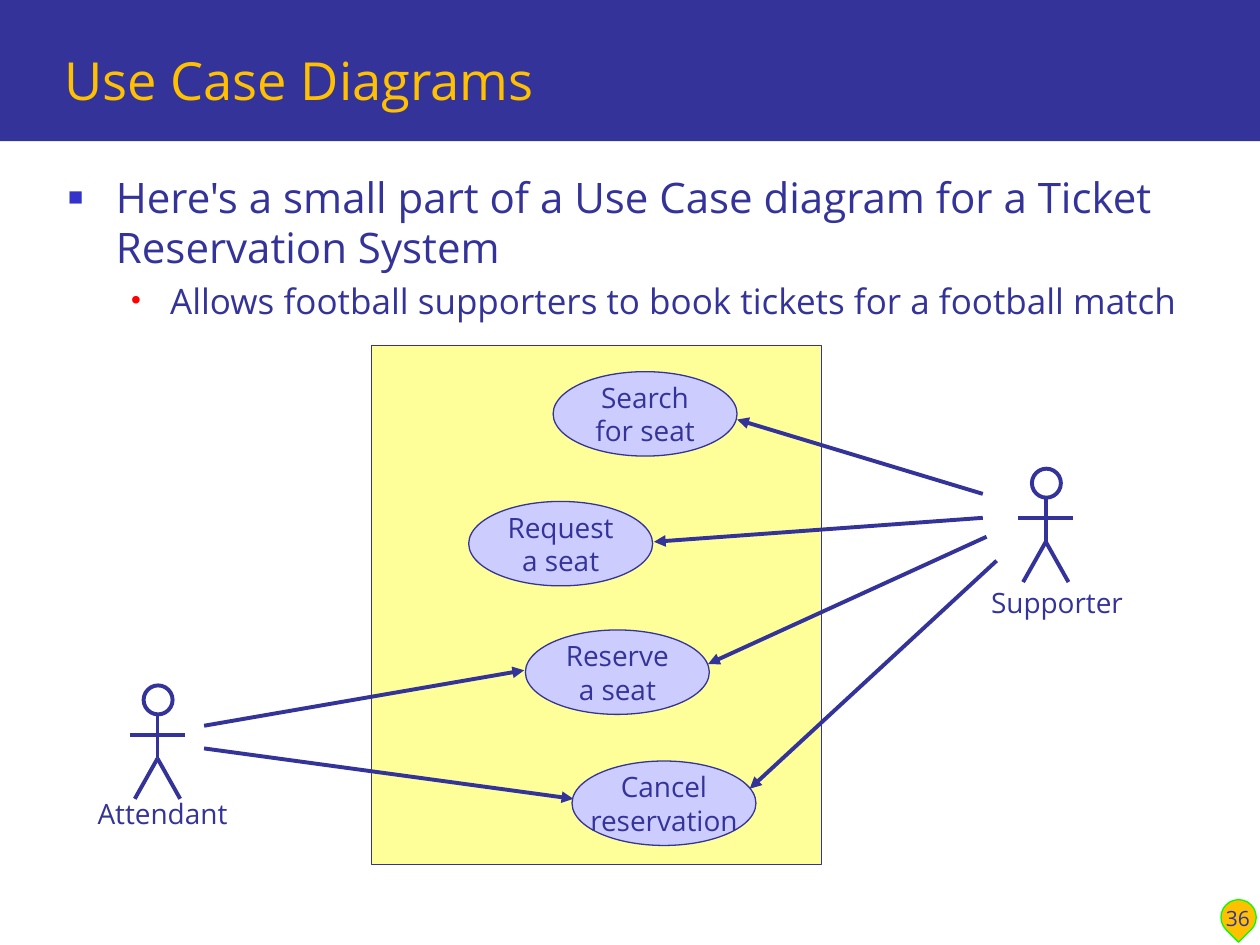
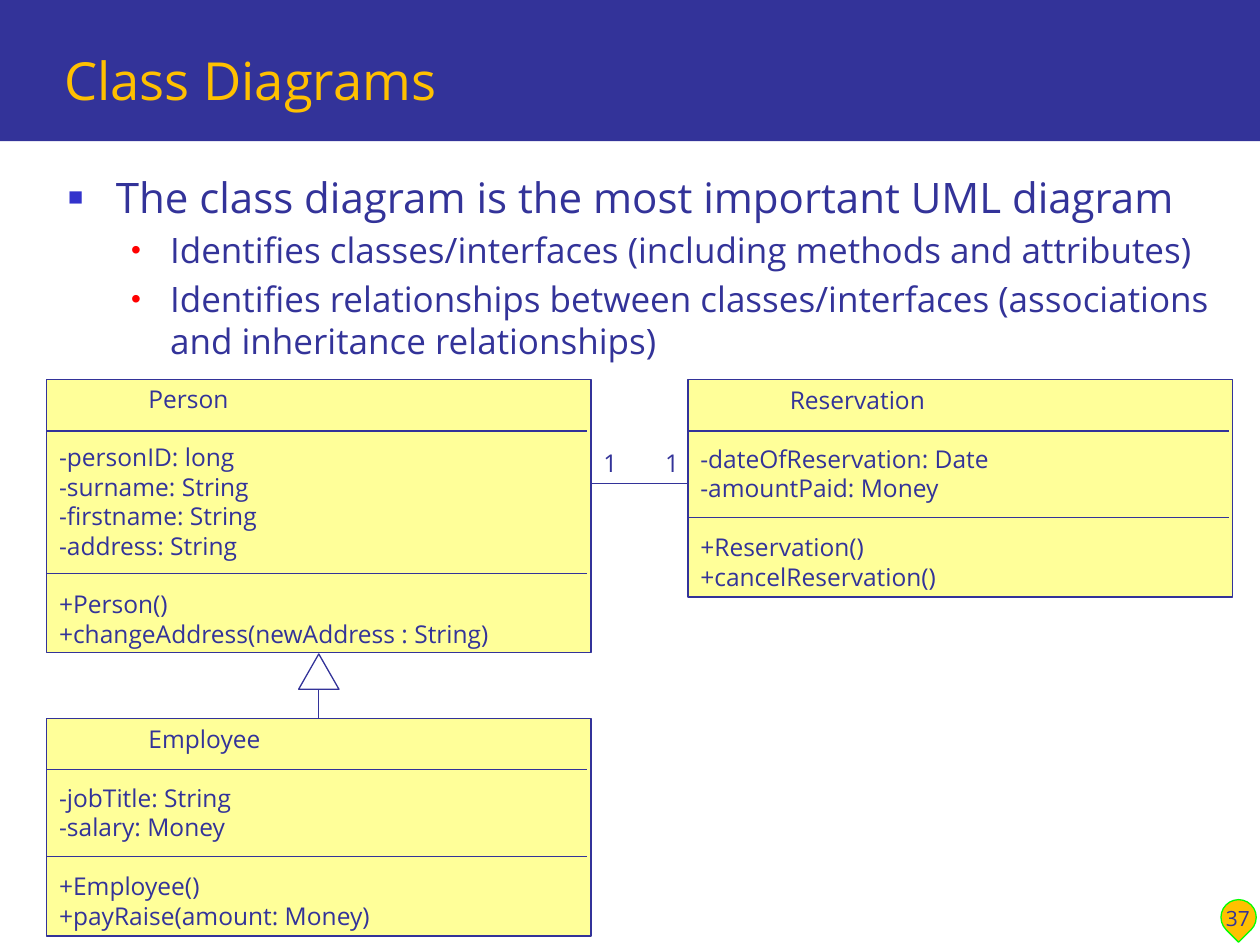
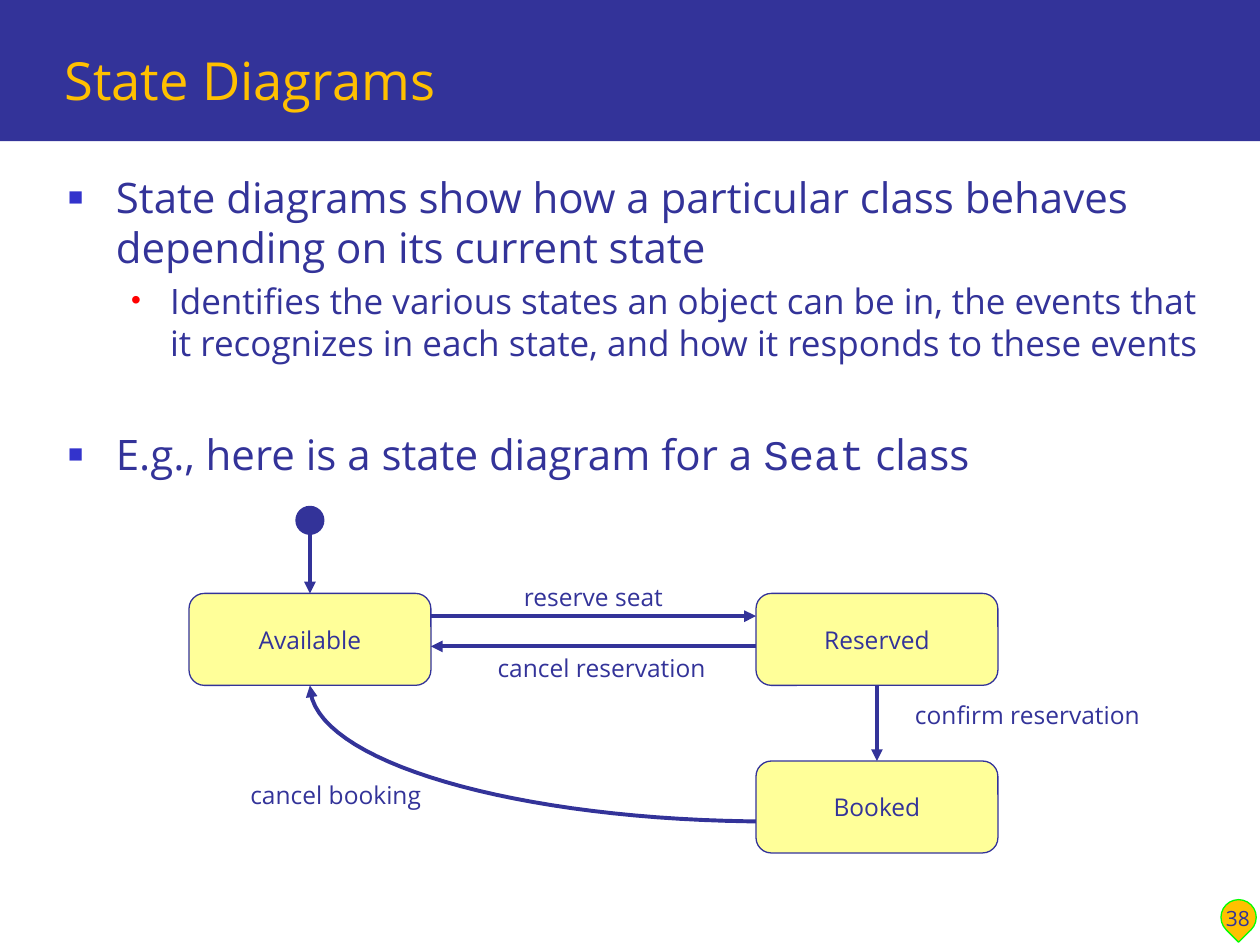
"""Build three slides on UML use case, class and state diagrams."""
import lxml.etree
import pptx
import pptx.dml.color
import pptx.enum.shapes
import pptx.enum.text
import pptx.oxml.ns
import pptx.util

Inches = pptx.util.Inches
Pt = pptx.util.Pt
SHAPE = pptx.enum.shapes.MSO_SHAPE
ALIGN = pptx.enum.text.PP_ALIGN
ANCHOR = pptx.enum.text.MSO_ANCHOR

COLORS = {"navy": "333399", "gold": "FFC000", "green": "00FF00", "blue": "3333CC",
          "red": "FF0000", "yellow": "FFFF99", "lilac": "CCCCFF", "white": "FFFFFF"}
FONT = "Open Sans"
CODE_FONT = "Courier New"
LINE_HEIGHT = 1.2
THIN, THICK = 0.75, 2.25
FIRST_NUMBER = 36

LEVELS = [
    {"size": 24, "margin": 0.38, "indent": -0.38, "before": 9.6,
     "bullet": "■", "color": "blue", "percent": 60},
    {"size": 20, "margin": 0.81, "indent": -0.31, "before": 4,
     "bullet": "•", "color": "red", "percent": 80},
]
SECTION_GAP = 37.6

USE_CASE_BULLETS = [
    (0, ["Here's a small part of a Use Case diagram for a Ticket Reservation System"]),
    (1, ["Allows football supporters to book tickets for a football match"]),
]
CLASS_BULLETS = [
    (0, ["The class diagram is the most important UML diagram"]),
    (1, ["Identifies classes/interfaces (including methods and attributes)"]),
    (1, ["Identifies relationships between classes/interfaces "
         "(associations and inheritance relationships)"]),
]
STATE_BULLETS = [
    (0, ["State diagrams show how a particular class behaves depending on its current state"]),
    (1, ["Identifies the various states an object can be in, the events that it recognizes "
         "in each state, and how it responds to these events"]),
    (0, ["E.g., here is a state diagram for a ", ("Seat", CODE_FONT), " class"]),
]

USE_CASES = [
    (4.39, 2.95, ["Search", "for seat"]),
    (3.72, 3.98, ["Request", "a seat"]),
    (4.17, 5.0, ["Reserve", "a seat"]),
    (4.54, 6.04, ["Cancel", "reservation"]),
]
ACTORS = [
    (1.25, 5.44, "Attendant", (0.67, 6.27, 1.24, 0.37)),
    (8.3, 3.72, "Supporter", (7.76, 4.6, 1.26, 0.37)),
]
USE_CASE_ARROWS = [
    ((7.8, 3.92), (5.85, 3.33)),
    ((7.8, 4.11), (5.19, 4.3)),
    ((7.83, 4.26), (5.62, 5.27)),
    ((7.91, 4.45), (5.95, 6.26)),
    ((1.62, 5.76), (4.16, 5.32)),
    ((1.62, 5.94), (4.55, 6.34)),
]

CLASSES = [
    (0.37, 3.01, "Person",
     ["-personID: long", "-surname: String", "-firstname: String", "-address: String"],
     ["+Person()", "+changeAddress(newAddress : String)"]),
    (5.46, 3.01, "Reservation",
     ["-dateOfReservation: Date", "-amountPaid: Money"],
     ["+Reservation()", "+cancelReservation()"]),
    (0.37, 5.7, "Employee",
     ["-jobTitle: String", "-salary: Money"],
     ["+Employee()", "+payRaise(amount: Money)"]),
]
CLASS_WIDTH = 4.32
MULTIPLICITIES = [("1", (4.69, 3.51, 0.31, 0.34)), ("1", (5.18, 3.51, 0.31, 0.34))]

STATES = {"Available": (1.5, 4.71), "Reserved": (6, 4.71), "Booked": (6, 6.04)}
STATE_WIDTH, STATE_HEIGHT = 1.92, 0.73
EVENTS = [
    ("reserve seat", (4.05, 4.57, 1.32, 0.34)),
    ("cancel reservation", (3.84, 5.13, 1.87, 0.34)),
    ("confirm reservation", (7.15, 5.51, 2.01, 0.34)),
    ("cancel booking", (1.88, 6.14, 1.57, 0.34)),
]
CANCEL_CURVE = [(6.13, 6.52), (4.1, 6.52), (2.46, 6.04), (2.46, 5.44)]


def rgb(name):
    return pptx.dml.color.RGBColor.from_string(COLORS[name])


def lengths(values):
    return [Inches(value) for value in values]


def add_xml(parent, tag, **attributes):
    element = lxml.etree.SubElement(parent, pptx.oxml.ns.qn(tag))
    for name, value in attributes.items():
        element.set(name, str(value))
    return element


def style_line(line, color, width):
    line.color.rgb = rgb(color)
    line.width = Pt(width)


def add_arrowhead(line_element):
    add_xml(line_element, "a:tailEnd", type="triangle")


def write_paragraph(frame, index, runs, size, color="navy", align=ALIGN.LEFT, before=0):
    paragraph = frame.paragraphs[0] if index == 0 else frame.add_paragraph()
    paragraph.alignment = align
    paragraph.line_spacing = Pt(size * LINE_HEIGHT)
    paragraph.space_before = Pt(before)
    for part in runs:
        text, font_name = (part, FONT) if isinstance(part, str) else part
        run = paragraph.add_run()
        run.text = text
        run.font.name = font_name
        run.font.size = Pt(size)
        run.font.color.rgb = rgb(color)
    return paragraph


def add_shape(slide, kind, place, fill=None, line="navy", width=THIN):
    shape = slide.shapes.add_shape(kind, *lengths(place))
    shape.shadow.inherit = False
    if fill:
        shape.fill.solid()
        shape.fill.fore_color.rgb = rgb(fill)
    else:
        shape.fill.background()
    if line:
        style_line(shape.line, line, width)
    else:
        shape.line.fill.background()
    return shape


def center_text(shape, rows, size):
    frame = shape.text_frame
    frame.word_wrap = False
    frame.vertical_anchor = ANCHOR.MIDDLE
    for index, row in enumerate(rows):
        write_paragraph(frame, index, [row], size, align=ALIGN.CENTER)


def add_label(slide, text, place, size, anchor=ANCHOR.TOP):
    frame = slide.shapes.add_textbox(*lengths(place)).text_frame
    frame.word_wrap = True
    frame.margin_left = frame.margin_right = 0
    frame.vertical_anchor = anchor
    write_paragraph(frame, 0, [text], size, align=ALIGN.CENTER)


def add_line(slide, start, end, width=THICK, arrow=False):
    connector = slide.shapes.add_connector(
        pptx.enum.shapes.MSO_CONNECTOR.STRAIGHT, *lengths(start + end))
    style_line(connector.line, "navy", width)
    if arrow:
        add_arrowhead(connector.line._get_or_add_ln())
    add_xml(connector.element.spPr, "a:effectLst")
    return connector


def decorate_layout(slide):
    band = add_shape(slide, SHAPE.RECTANGLE, (0, 0, 10, 1.12), "navy", None)
    badge = add_shape(slide, SHAPE.TEAR, (9.69, 7.14, 0.28, 0.28), "gold", "green")
    badge.rotation = 135
    for number, shape in enumerate((band, badge), 20):
        shape.element.nvSpPr.cNvPr.set("id", str(number))
        slide.slide_layout.shapes.element.append(shape.element)


def fill_title(title, text):
    title.left, title.top, title.width, title.height = lengths((0.41, 0.17, 9.35, 0.76))
    frame = title.text_frame
    frame.auto_size = pptx.enum.text.MSO_AUTO_SIZE.NONE
    frame.vertical_anchor = ANCHOR.BOTTOM
    write_paragraph(frame, 0, [text], 30, "gold")


def fill_body(body, bullets):
    body.left, body.top, body.width, body.height = lengths((0.44, 1.31, 9.28, 5.4))
    frame = body.text_frame
    frame.auto_size = pptx.enum.text.MSO_AUTO_SIZE.NONE
    for index, (level, runs) in enumerate(bullets):
        style = LEVELS[level]
        before = style["before"] if level else SECTION_GAP
        paragraph = write_paragraph(frame, index, runs, style["size"],
                                    before=before if index else 0)
        paragraph.level = level
        properties = paragraph._p.get_or_add_pPr()
        properties.set("marL", str(Inches(style["margin"])))
        properties.set("indent", str(Inches(style["indent"])))
        add_xml(add_xml(properties, "a:buClr"), "a:srgbClr", val=COLORS[style["color"]])
        add_xml(properties, "a:buSzPct", val=style["percent"] * 1000)
        add_xml(properties, "a:buChar", char=style["bullet"])


def draw_actor(slide, center, top, name, label_place):
    add_shape(slide, SHAPE.OVAL, (center - 0.11, top, 0.23, 0.23), width=THICK)
    hip = (center, top + 0.58)
    add_line(slide, (center, top + 0.24), hip)
    for side in (-1, 1):
        add_line(slide, (center + side * 0.18, top + 0.9), hip)
    add_line(slide, (center - 0.22, top + 0.39), (center + 0.22, top + 0.39))
    add_label(slide, name, label_place, 16)


def draw_use_cases(slide):
    add_shape(slide, SHAPE.RECTANGLE, (2.95, 2.74, 3.57, 4.12), "yellow")
    for actor in ACTORS:
        draw_actor(slide, *actor)
    for left, top, rows in USE_CASES:
        center_text(add_shape(slide, SHAPE.OVAL, (left, top, 1.46, 0.67), "lilac"), rows, 16)
    for start, end in USE_CASE_ARROWS:
        add_line(slide, start, end, arrow=True)


def draw_class(slide, left, top, name, attributes, methods):
    name_line = 0.41
    method_line = 0.66 + 0.22 * len(attributes)
    height = method_line + 0.63
    box = add_shape(slide, SHAPE.RECTANGLE, (left, top, CLASS_WIDTH, height), "yellow")
    frame = box.text_frame
    frame.word_wrap = True
    frame.vertical_anchor = ANCHOR.MIDDLE
    size = 14
    section_starts = (1, 1 + len(attributes))
    for index, row in enumerate([name] + attributes + methods):
        before = size * LINE_HEIGHT if index in section_starts else 0
        paragraph = write_paragraph(frame, index, [row], size, before=before)
        if index == 0:
            paragraph._p.get_or_add_pPr().set("marL", str(Inches(0.71)))
    for offset in (name_line, method_line):
        add_line(slide, (left, top + offset), (left + CLASS_WIDTH - 0.03, top + offset), THIN)
    return box


def draw_classes(slide):
    boxes = {entry[2]: draw_class(slide, *entry) for entry in CLASSES}
    add_line(slide, (0.37 + CLASS_WIDTH, 3.84), (5.46, 3.84), THIN)
    for text, place in MULTIPLICITIES:
        add_label(slide, text, place, 14)
    center = 0.37 + CLASS_WIDTH / 2
    add_shape(slide, SHAPE.ISOSCELES_TRIANGLE, (center - 0.16, 5.19, 0.32, 0.28), "white")
    inheritance = add_line(slide, (center, 5.47), (center, 5.7), THIN)
    inheritance.end_connect(boxes["Employee"], 0)


def curve_points(controls, steps=32):
    for step in range(steps + 1):
        t = step / steps
        weights = ((1 - t) ** 3, 3 * t * (1 - t) ** 2, 3 * t * t * (1 - t), t ** 3)
        yield tuple(Inches(sum(weight * point[axis] for weight, point in zip(weights, controls)))
                    for axis in (0, 1))


def draw_curve(slide, controls):
    start, *rest = curve_points(controls)
    builder = slide.shapes.build_freeform(*start)
    builder.add_line_segments(rest, close=False)
    curve = builder.convert_to_shape()
    curve.shadow.inherit = False
    curve.fill.background()
    style_line(curve.line, "navy", THICK)
    add_arrowhead(curve.line._get_or_add_ln())


def draw_states(slide):
    draw_curve(slide, CANCEL_CURVE)
    boxes = {}
    for name, (left, top) in STATES.items():
        boxes[name] = add_shape(slide, SHAPE.ROUNDED_RECTANGLE,
                                (left, top, STATE_WIDTH, STATE_HEIGHT), "yellow")
        center_text(boxes[name], [name], 14)
    left, top = STATES["Available"]
    center, right = left + STATE_WIDTH / 2, left + STATE_WIDTH
    reserved_left = STATES["Reserved"][0]
    add_shape(slide, SHAPE.OVAL, (center - 0.1, 4.03, 0.2, 0.2), "navy", width=THICK)
    initial = add_line(slide, (center, 4.17), (center, top), arrow=True)
    initial.end_connect(boxes["Available"], 0)
    add_line(slide, (right, 4.89), (reserved_left, 4.89), arrow=True)
    add_line(slide, (reserved_left, 5.13), (right, 5.13), arrow=True)
    confirm = add_line(slide, (6.96, 5.44), (6.96, 6.04), arrow=True)
    confirm.begin_connect(boxes["Reserved"], 2)
    confirm.end_connect(boxes["Booked"], 0)
    for text, place in EVENTS:
        add_label(slide, text, place, 14)


SLIDES = [
    ("Use Case Diagrams", USE_CASE_BULLETS, draw_use_cases),
    ("Class Diagrams", CLASS_BULLETS, draw_classes),
    ("State Diagrams", STATE_BULLETS, draw_states),
]


def main():
    presentation = pptx.Presentation()
    presentation.slide_width, presentation.slide_height = lengths((10, 7.5))
    layout = presentation.slide_layouts[1]
    for index, (title, bullets, draw) in enumerate(SLIDES):
        slide = presentation.slides.add_slide(layout)
        if index == 0:
            decorate_layout(slide)
        fill_title(slide.shapes.title, title)
        fill_body(slide.placeholders[1], bullets)
        draw(slide)
        add_label(slide, str(FIRST_NUMBER + index), (9.54, 6.94, 0.57, 0.5), 12, ANCHOR.BOTTOM)
    presentation.save("out.pptx")


if __name__ == "__main__":
    main()
